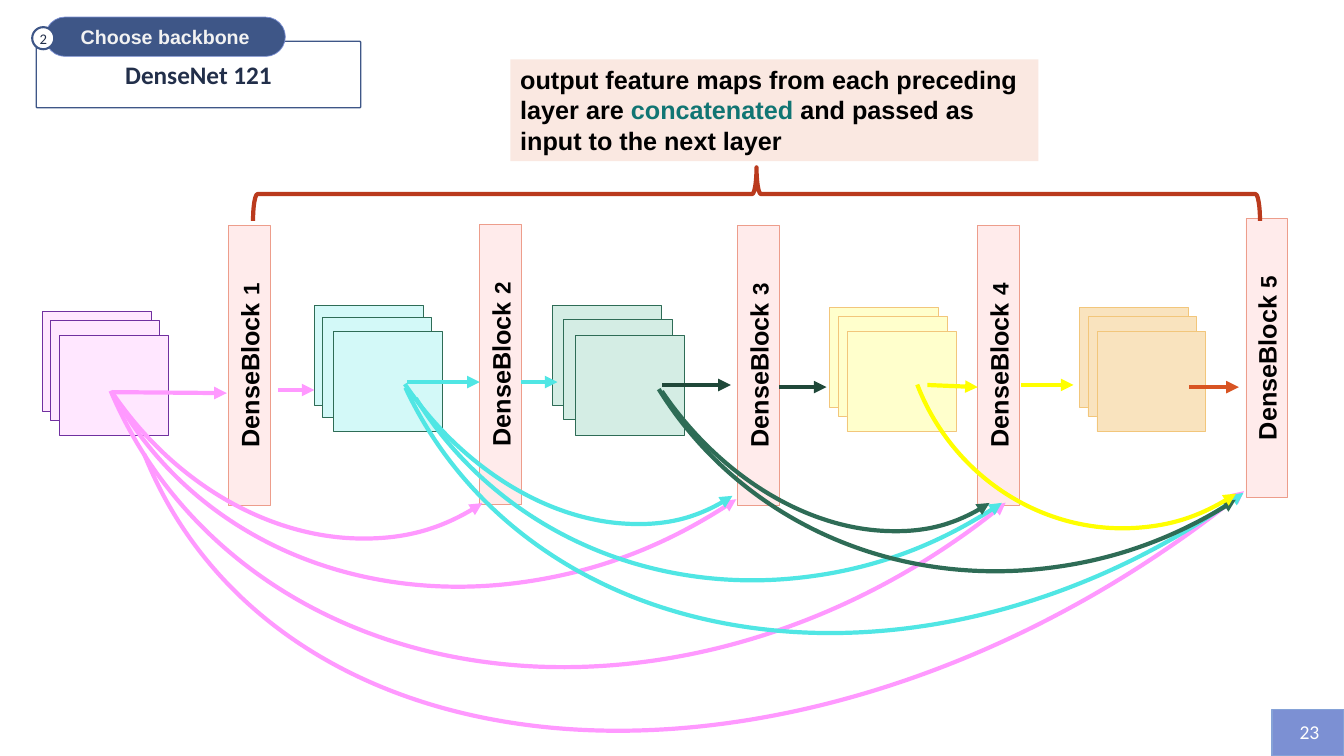
from dataclasses import dataclass
from typing import Optional

import pptx
import pptx.dml.color
import pptx.enum.shapes
import pptx.enum.text
import pptx.oxml.ns
import pptx.oxml.xmlchemy
import pptx.presentation
import pptx.util
from lxml import etree

Pt = pptx.util.Pt
Kind = pptx.enum.shapes.MSO_SHAPE
Align = pptx.enum.text.PP_ALIGN
Anchor = pptx.enum.text.MSO_ANCHOR
qn = pptx.oxml.ns.qn


@dataclass
class Run:
    text: str
    size: float
    color: str = "000000"
    font: str = "Arial"
    bold: bool = True


@dataclass
class Box:
    x: float
    y: float
    w: float
    h: float
    fill: Optional[str] = None
    line: Optional[str] = None
    width: float = 1
    kind: int = Kind.RECTANGLE
    turn: float = 0
    adjust: tuple = ()


@dataclass
class Stack:
    x: float
    y: float
    fill: str
    line: str
    width: float
    steps: tuple


@dataclass
class Block:
    x: float
    y: float


@dataclass
class Arrow:
    x: float
    y: float
    end_x: float
    end_y: float
    color: str


@dataclass
class Arc:
    x: float
    y: float
    w: float
    h: float
    color: str
    start: float = 270
    stop: float = 0


def paint(color: str) -> pptx.dml.color.RGBColor:
    return pptx.dml.color.RGBColor.from_string(color)


def draw(slide, box: Box):
    shape = slide.shapes.add_shape(box.kind, Pt(box.x), Pt(box.y), Pt(box.w), Pt(box.h))
    shape.shadow.inherit = False
    shape.rotation = box.turn
    for index, value in enumerate(box.adjust):
        shape.adjustments[index] = value
    if box.fill:
        shape.fill.solid()
        shape.fill.fore_color.rgb = paint(box.fill)
    else:
        shape.fill.background()
    if box.line:
        shape.line.color.rgb = paint(box.line)
        shape.line.width = Pt(box.width)
    else:
        shape.line.fill.background()
    return shape


def write(shape, runs: list[Run], align=Align.CENTER, anchor=Anchor.MIDDLE) -> None:
    frame = shape.text_frame
    frame.word_wrap = True
    frame.vertical_anchor = anchor
    para = frame.paragraphs[0]
    para.alignment = align
    for item in runs:
        run = para.add_run()
        run.text = item.text
        run.font.size = Pt(item.size)
        run.font.name = item.font
        run.font.bold = item.bold
        run.font.color.rgb = paint(item.color)


def point(shape, end: str) -> None:
    line = shape.element.spPr.find(qn("a:ln"))
    etree.SubElement(line, qn(end)).set("type", "triangle")


def pile(slide, stack: Stack) -> None:
    for right, down in ((0, 0),) + stack.steps:
        draw(slide, Box(stack.x + right, stack.y + down, 77.8, 71.3,
                        stack.fill, stack.line, stack.width))


def label(slide, block: Block, number: int) -> None:
    shape = draw(slide, Box(block.x, block.y, 29.5, 199.4, "FFEBEB", "ED9D8B", 0.5))
    write(shape, [Run("DenseBlock ", 18), Run(str(number), 16)])
    shape.element.txBody.find(qn("a:bodyPr")).set("vert", "vert270")


def link(slide, arrow: Arrow) -> None:
    line = slide.shapes.add_connector(
        pptx.enum.shapes.MSO_CONNECTOR.STRAIGHT,
        Pt(arrow.x), Pt(arrow.y), Pt(arrow.end_x), Pt(arrow.end_y))
    line.line.color.rgb = paint(arrow.color)
    line.line.width = Pt(3)
    point(line, "a:tailEnd")
    etree.SubElement(line.element.spPr, qn("a:effectLst"))


def bend(slide, arc: Arc) -> None:
    shape = draw(slide, Box(arc.x, arc.y, arc.w, arc.h, None, arc.color, 3, Kind.ARC,
                            145.9, (arc.start * 0.6, arc.stop * 0.6)))
    point(shape, "a:headEnd")


PINK, TEAL, GREEN, DARK, YELLOW = "FF99FF", "50E6E4", "2E6C56", "1F4839", "FFFF00"
STEPS = ((6, 6.5), (12.4, 17.3))

STACKS = [
    Stack(30.2, 222.5, "FFE7FF", "7030A0", 0.5, STEPS),
    Stack(224.6, 218.2, "D3F9F8", GREEN, 1, ((5.8, 8.6), (13.7, 18.7))),
    Stack(394.6, 218.2, "D4EDE4", GREEN, 1, ((7.9, 10.1), (16.6, 21.6))),
    Stack(592.6, 219.6, "FFFFCC", "F2C67B", 0.5, STEPS),
    Stack(771.1, 219.6, "F9E3BE", "F2C67B", 0.5, STEPS),
]
BLOCKS = [Block(163.4, 161.3), Block(342.7, 160.6), Block(527, 161.3),
          Block(698.4, 161.3), Block(889.9, 156.2)]
ARROWS = [
    Arrow(79.9, 280.1, 162, 280.8, PINK),
    Arrow(198.7, 278.6, 224.6, 278.6, PINK),
    Arrow(290.9, 272.9, 342.7, 272.9, TEAL),
    Arrow(372.2, 272.9, 398.2, 272.9, TEAL),
    Arrow(473, 275, 522, 275, DARK),
    Arrow(556.6, 276.5, 590.4, 276.5, DARK),
    Arrow(662.4, 275, 698.4, 276.5, YELLOW),
    Arrow(729.4, 275, 766.8, 275, YELLOW),
    Arrow(849.6, 276.5, 884.9, 276.5, "D85422"),
]
ARCS = [
    Arc(50.4, -30.2, 349.2, 426.2, PINK),
    Arc(37.4, -169.2, 654.5, 575.3, PINK, 270, 2.08),
    Arc(31.7, -283, 881.3, 735.1, PINK, 262.24, 7.78),
    Arc(263.5, -6.5, 298.1, 394.6, TEAL),
    Arc(250.6, -162.7, 609.8, 571, TEAL, 270, 2.08),
    Arc(447.1, -1.4, 298.1, 394.6, GREEN),
    Arc(33.8, -344.9, 1141.9, 807.8, PINK, 259.9, 6.25),
    Arc(236.2, -283.7, 877.7, 707, TEAL, 267.05, 5.85),
    Arc(424.1, -169.2, 609.8, 571, GREEN, 271.54, 2.08),
    Arc(646.6, 68.4, 298.1, 311, YELLOW, 270, 14.21),
]


def main() -> None:
    deck = pptx.Presentation()
    deck.slide_width, deck.slide_height = Pt(960), Pt(540)
    slide = deck.slides.add_slide(deck.slide_layouts[6])

    draw(slide, Box(908.6, 506.9, 51.4, 33.1, "7C90D3", "85A2D7"))
    page = slide.shapes.add_textbox(Pt(915.8), Pt(508.3), Pt(33.8), Pt(28.8))
    write(page, [Run("23", 14, "FFFFFF", "Calibri", False)], Align.RIGHT)

    note = draw(slide, Box(364.5, 42.5, 377.3, 72.7, "FAE8E1"))
    write(note, [
        Run("output feature maps from each preceding layer are ", 18),
        Run("concatenated", 18, "117573"),
        Run(" and passed as input to the next layer", 18),
    ], Align.LEFT, Anchor.TOP)

    for stack in STACKS:
        pile(slide, stack)
    for number, block in enumerate(BLOCKS, 1):
        label(slide, block, number)
    for arrow in ARROWS:
        link(slide, arrow)
    for arc in ARCS:
        bend(slide, arc)
    draw(slide, Box(521.3, -221, 38.2, 719.3, None, "BA3A1D", 3, Kind.RIGHT_BRACE, 270))

    model = draw(slide, Box(25.9, 29.5, 231.8, 47.5, "FFFFFF", "3E5687", 1,
                            Kind.ROUNDED_RECTANGLE, 0, (0.02,)))
    write(model, [Run("DenseNet 121", 18, "222F4A", "Calibri")])
    title = draw(slide, Box(32.4, 12.2, 171.4, 28.1, "3E5687", "7C90D3", 0.5,
                            Kind.ROUNDED_RECTANGLE, 0, (0.5,)))
    write(title, [Run("Choose backbone", 14, "F2F2F2")])
    badge = draw(slide, Box(23, 19.4, 15.8, 15.8, "FFFFFF", "3E5687", 1.5, Kind.OVAL))
    frame = badge.text_frame
    frame.margin_left = frame.margin_right = frame.margin_top = frame.margin_bottom = 0
    write(badge, [Run("2", 10.5, "222F4A", "Calibri", False)])

    deck.save("out.pptx")


if __name__ == "__main__":
    main()
